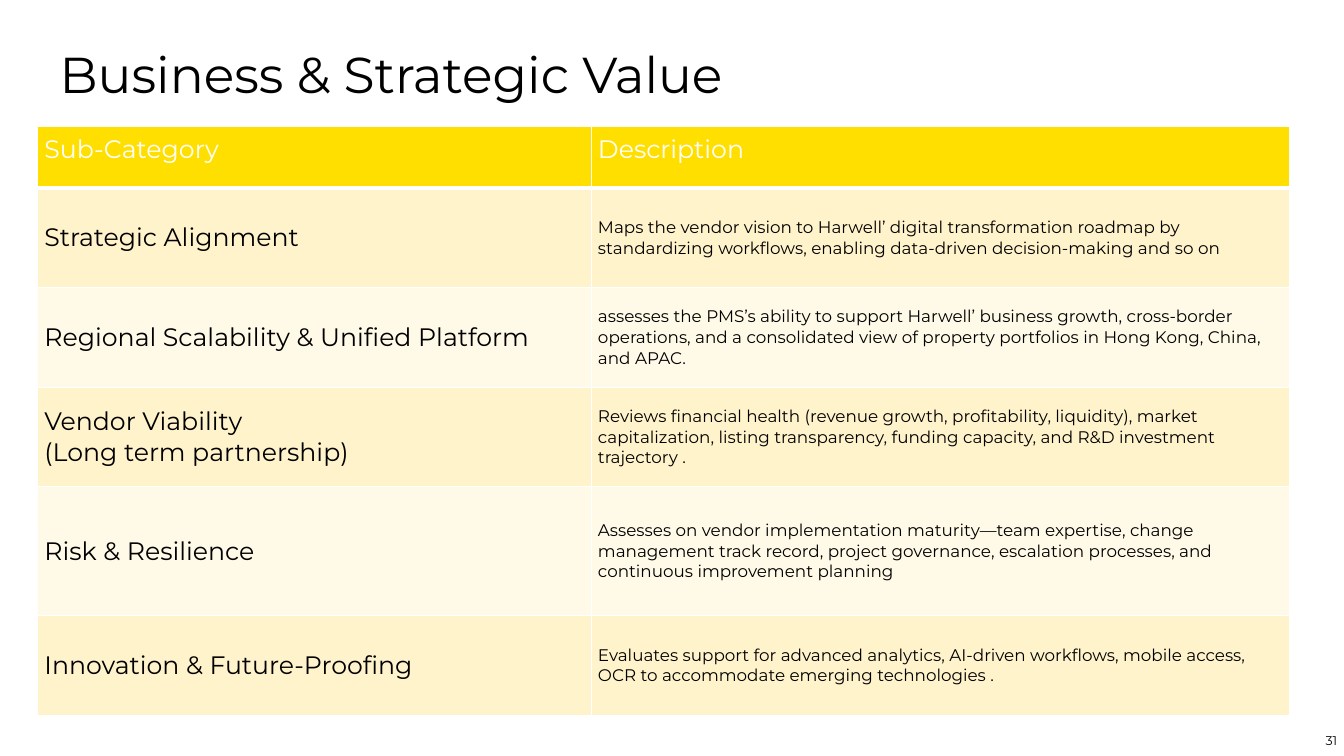
from pptx import Presentation
from pptx.dml.color import RGBColor
from pptx.enum import text as t
from pptx.oxml import parse_xml
from pptx.oxml.ns import nsdecls
from pptx.util import Cm, Pt

TITLE = "Business & Strategic Value"
PAGE = "31"
ROWS = [
    ("Sub-Category", "Description"),
    ("Strategic Alignment",
     "Maps the vendor vision to Harwell’ digital transformation roadmap by "
     "standardizing workflows, enabling data-driven decision-making and so on"),
    ("Regional Scalability & Unified Platform",
     "assesses the PMS’s ability to support Harwell’ business growth, cross-border "
     "operations, and a consolidated view of property portfolios in Hong Kong, "
     "China, and APAC."),
    ("Vendor Viability\n(Long term partnership)",
     "Reviews financial health (revenue growth, profitability, liquidity), market "
     "capitalization, listing transparency, funding capacity, and R&D investment "
     "trajectory ."),
    ("Risk & Resilience",
     "Assesses on vendor implementation maturity—team expertise, change "
     "management track record, project governance, escalation processes, and "
     "continuous improvement planning"),
    ("Innovation & Future-Proofing",
     "Evaluates support for advanced analytics, AI-driven workflows, mobile access, "
     "OCR to accommodate emerging technologies ."),
]
WIDTHS = (13.95, 17.6)
HEIGHTS = (1.55, 2.51, 2.51, 2.51, 3.25, 2.51)
FONT = "Montserrat"
BLACK, WHITE, GOLD = "000000", "FFFFFF", "FFDF00"
BANDS = ("FFF9E7", "FFF3CC")


def color(hex):
    return RGBColor.from_string(hex)


def apply(obj, form):
    for name, val in form.items():
        setattr(obj, name, val)


def style(frame, size, hex, **form):
    for para in frame.paragraphs:
        apply(para, form)
        apply(para.font, {"name": FONT, "size": Pt(size), "bold": False})
        para.font.color.rgb = color(hex)


def edge(cell, head):
    props = cell._tc.get_or_add_tcPr()
    for i, side in enumerate("LRTB"):
        wide = Pt(3 if head and side == "B" else 1)
        props.insert(i, parse_xml(
            f'<a:ln{side} {nsdecls("a")} w="{wide}"><a:solidFill>'
            f'<a:srgbClr val="{WHITE}"/></a:solidFill></a:ln{side}>'))


def add_grid(slide):
    grid = slide.shapes.add_table(
        len(ROWS), len(WIDTHS), Cm(0.95), Cm(3.19),
        Cm(sum(WIDTHS)), Cm(sum(HEIGHTS))).table
    for col, wide in zip(grid.columns, WIDTHS):
        col.width = Cm(wide)
    for r, (words, high) in enumerate(zip(ROWS, HEIGHTS)):
        grid.rows[r].height = Cm(high)
        head = r == 0
        pad = Cm(0.18 if head else 0.13)
        for c, word in enumerate(words):
            cell = grid.cell(r, c)
            cell.text = word
            apply(cell, {
                "margin_left": Cm(0.17), "margin_right": Cm(0.17),
                "margin_top": pad, "margin_bottom": pad,
                "vertical_anchor": t.MSO_ANCHOR.TOP if head else t.MSO_ANCHOR.MIDDLE})
            cell.fill.solid()
            cell.fill.fore_color.rgb = color(GOLD if head else BANDS[r % 2])
            edge(cell, head)
            style(cell.text_frame, 18 if head or c == 0 else 12,
                  WHITE if head else BLACK)


def main():
    deck = Presentation()
    apply(deck, {"slide_width": Cm(33.87), "slide_height": Cm(19.05)})
    slide = deck.slides.add_slide(deck.slide_layouts[5])

    title = slide.shapes.title
    apply(title, {"left": Cm(1.25), "top": Cm(1.17),
                  "width": Cm(28.68), "height": Cm(1.55)})
    title.text_frame.text = TITLE
    apply(title.text_frame, {"vertical_anchor": t.MSO_ANCHOR.MIDDLE,
                             "auto_size": t.MSO_AUTO_SIZE.NONE})
    style(title.text_frame, 36, BLACK, line_spacing=0.9, alignment=t.PP_ALIGN.LEFT)

    add_grid(slide)

    page = slide.shapes.add_textbox(Cm(33.25), Cm(18.34), Cm(0.61), Cm(0.66))
    page.text_frame.text = PAGE
    apply(page.text_frame, {"margin_left": 0, "margin_right": 0, "word_wrap": True,
                            "vertical_anchor": t.MSO_ANCHOR.MIDDLE})
    style(page.text_frame, 9, BLACK, alignment=t.PP_ALIGN.CENTER)
    deck.save("out.pptx")


if __name__ == "__main__":
    main()
